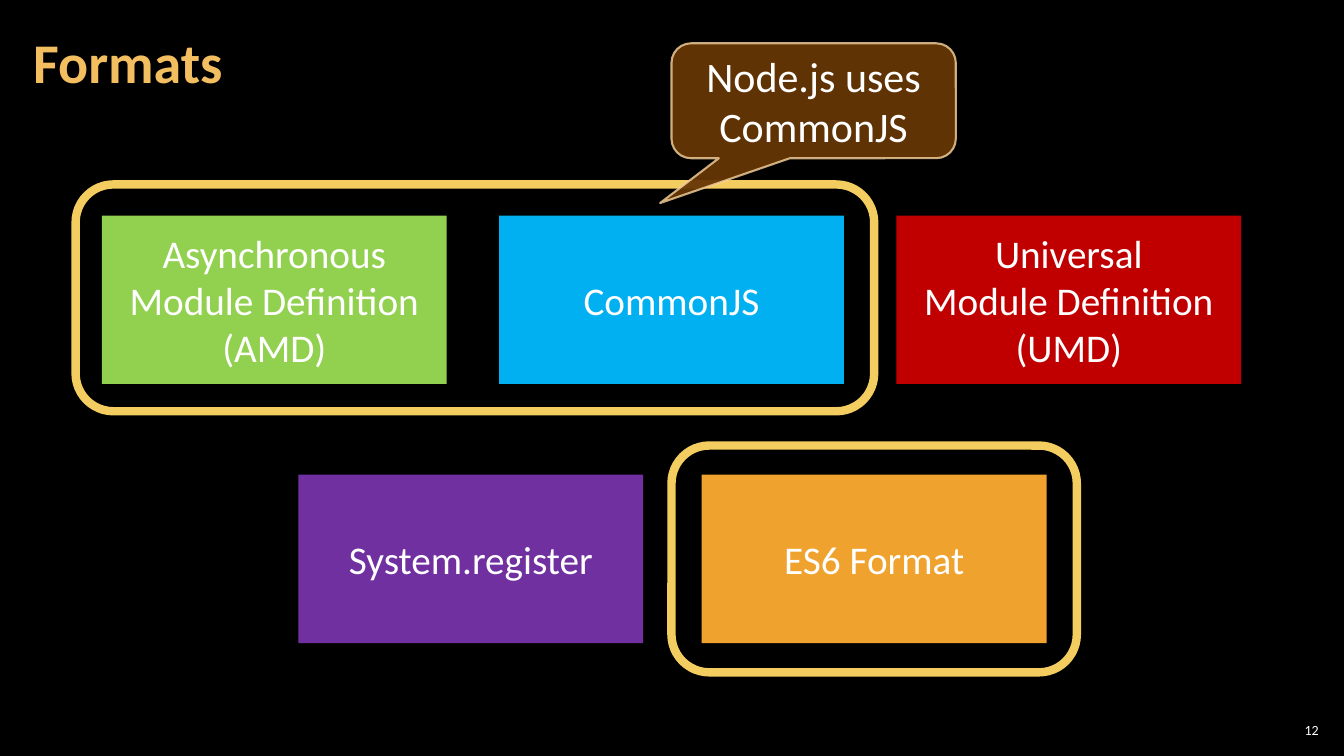
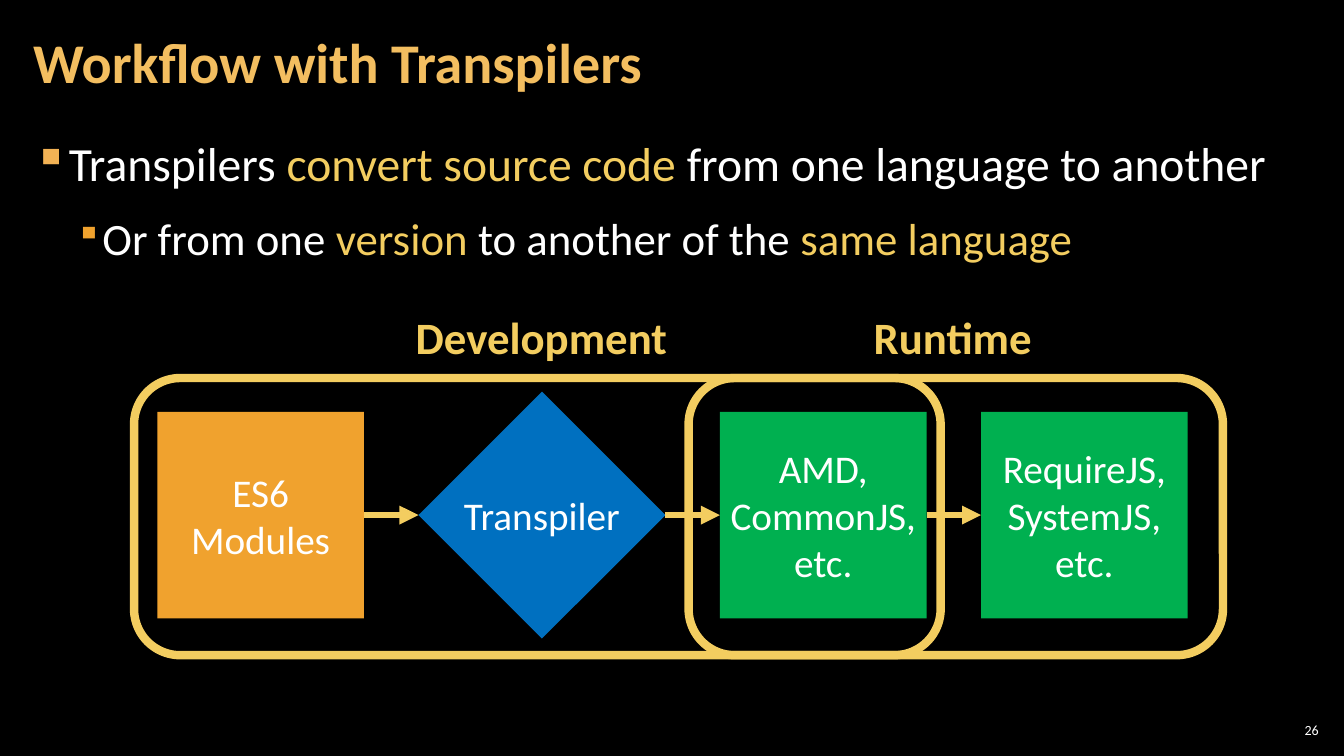
from lxml import etree
from pptx import Presentation
from pptx.dml.color import RGBColor
from pptx.enum.shapes import MSO_CONNECTOR, MSO_SHAPE as SHAPE
from pptx.enum.text import MSO_ANCHOR as ANCHOR, PP_ALIGN as ALIGN
from pptx.oxml.ns import qn
from pptx.util import Inches, Pt

BLACK, WHITE, GOLD, ORANGE, GREEN = "000000", "FFFFFF", "F3CD60", "F0A22E", "00B050"
TITLE_COLOR = "F3BE60"


def rgb(value):
    return RGBColor.from_string(value)


def add_xml(parent, tag, **attributes):
    return etree.SubElement(parent, qn(tag), attributes)


def set_opacity(fill_format, percent):
    color = fill_format._xPr.find(".//" + qn("a:srgbClr"))
    add_xml(color, "a:alpha", val=str(percent * 1000))


class Deck:
    """Holds the shared style and the slide being filled."""

    font = "Calibri"

    def __init__(self):
        self.prs = Presentation()
        self.prs.slide_width, self.prs.slide_height = Inches(13.33), Inches(7.5)
        background = self.prs.slide_master.background.fill
        background.solid()
        background.fore_color.rgb = rgb(BLACK)
        self.slide = None

    def new_slide(self, title, number):
        self.slide = self.prs.slides.add_slide(self.prs.slide_layouts[6])
        heading = self.text(title, (0.21, 0.04, 10.47, 1.21), 40, TITLE_COLOR,
                            bold=True, align=ALIGN.LEFT, margins=(0.12, 0.04))
        heading.paragraphs[0].line_spacing = 0.9
        self.text(number, (12.65, 7.14, 0.47, 0.21), 10,
                  align=ALIGN.RIGHT, margins=(0.04, 0.04))

    def format_frame(self, frame, margins, anchor=ANCHOR.MIDDLE, wrap=True):
        side, edge = map(Inches, margins)
        values = {"margin_left": side, "margin_right": side, "margin_top": edge,
                  "margin_bottom": edge, "vertical_anchor": anchor, "word_wrap": wrap}
        for name, value in values.items():
            setattr(frame, name, value)

    def format_font(self, font, size, color=WHITE, bold=False):
        for name, value in {"name": self.font, "size": Pt(size), "bold": bold}.items():
            setattr(font, name, value)
        font.color.rgb = rgb(color)

    def fill_text(self, frame, text, size, color=WHITE, bold=False, align=ALIGN.CENTER):
        """Give each line of the text a paragraph of its own."""
        frame.text = text
        for paragraph in frame.paragraphs:
            paragraph.alignment = align
            self.format_font(paragraph.font, size, color, bold)

    def text(self, text, place, size, color=WHITE, bold=False, align=ALIGN.CENTER,
             margins=(0.1, 0.05)):
        frame = self.slide.shapes.add_textbox(*map(Inches, place)).text_frame
        self.format_frame(frame, margins)
        self.fill_text(frame, text, size, color, bold, align)
        return frame

    def shape(self, kind, place, fill=None, line=None, width=0):
        shape = self.slide.shapes.add_shape(kind, *map(Inches, place))
        shape.shadow.inherit = False
        for part, color in ((shape.fill, fill), (shape.line.fill, line)):
            if color:
                part.solid()
                part.fore_color.rgb = rgb(color)
            else:
                part.background()
        if line:
            shape.line.width = Pt(width)
        return shape

    def block(self, text, place, fill, kind=SHAPE.RECTANGLE, wrap=True):
        block = self.shape(kind, place, fill)
        self.format_frame(block.text_frame, (0.08, 0.05), wrap=wrap)
        self.fill_text(block.text_frame, text, 28)
        return block

    def frame(self, *place):
        self.shape(SHAPE.ROUNDED_RECTANGLE, place, line=GOLD, width=6)

    def callout(self, text, place, adjustments):
        callout = self.shape(SHAPE.ROUNDED_RECTANGULAR_CALLOUT, place,
                             "663606", "F8D49E", 1.5)
        for index, value in enumerate(adjustments):
            callout.adjustments[index] = value
        set_opacity(callout.fill, 95)
        set_opacity(callout.line.fill, 80)
        self.format_frame(callout.text_frame, (0.1, 0.05))
        self.fill_text(callout.text_frame, text, 30)

    def arrow(self, source, target):
        """Join the right side of one block to the left side of the next."""
        arrow = self.slide.shapes.add_connector(MSO_CONNECTOR.STRAIGHT, 0, 0, 0, 0)
        arrow.begin_connect(source, 3)
        arrow.end_connect(target, 1)
        arrow.line.width = Pt(4.5)
        arrow.line.color.rgb = rgb(GOLD)
        add_xml(arrow.line._ln, "a:tailEnd", type="triangle")
        add_xml(arrow._element.spPr, "a:effectLst")

    def bullets(self, place, items):
        """Each item: level, size, indent, hanging, bullet colour, bullet percent, runs."""
        frame = self.slide.shapes.add_textbox(*map(Inches, place)).text_frame
        self.format_frame(frame, (0.12, 0.04), ANCHOR.TOP)
        for index, (level, size, indent, hanging, color, percent, runs) in enumerate(items):
            paragraph = frame.add_paragraph() if index else frame.paragraphs[0]
            properties = paragraph._p.get_or_add_pPr()
            properties.set("marL", str(Inches(indent)))
            properties.set("indent", str(-Inches(hanging)))
            add_xml(add_xml(properties, "a:buClr"), "a:srgbClr", val=color)
            add_xml(properties, "a:buSzPct", val=str(percent * 1000))
            add_xml(properties, "a:buChar", char="▪")
            spacing = {"level": level, "line_spacing": 1.05, "space_after": Pt(6),
                       "space_before": Pt(6 if index else 0)}
            for name, value in spacing.items():
                setattr(paragraph, name, value)
            for text, run_color in runs:
                run = paragraph.add_run()
                run.text = text
                self.format_font(run.font, size, run_color)


def build_formats(deck):
    deck.new_slide("Formats", "12")
    rows = [
        (1.01, 2.14, 3.94, [("Asynchronous Module Definition\n(AMD)", "92D050"),
                            ("CommonJS", "00B0F0"),
                            ("Universal\nModule Definition\n(UMD)", "C00000")]),
        (2.96, 4.71, 4, [("System.register", "7030A0"), ("ES6 Format", ORANGE)]),
    ]
    for left, top, pitch, formats in rows:
        for column, (label, color) in enumerate(formats):
            deck.block(label, (left + column * pitch, top, 3.42, 1.67), color)
    deck.frame(0.75, 1.83, 7.92, 2.25)
    deck.frame(6.66, 4.42, 4.02, 2.25)
    deck.callout("Node.js uses CommonJS", (6.66, 0.43, 2.82, 1.14), (-0.54, 0.89, 0.17))


def build_workflow(deck):
    deck.new_slide("Workflow with Transpilers", "26")
    deck.bullets((0.21, 1.26, 12.91, 6.09), [
        (0, 34, 0.33, 0.33, "F2B254", 100,
         [("Transpilers ", WHITE), ("convert source code ", GOLD),
          ("from one language to another", WHITE)]),
        (1, 32, 0.67, 0.25, ORANGE, 80,
         [("Or from one ", WHITE), ("version", GOLD),
          (" to another of the ", WHITE), ("same language", GOLD)]),
    ])

    steps = [
        ("ES6\nModules", ORANGE, SHAPE.RECTANGLE, 2.05),
        ("Transpiler", "0070C0", SHAPE.DIAMOND, 2.45),
        ("AMD, CommonJS, etc.", GREEN, SHAPE.RECTANGLE, 2.05),
        ("RequireJS, SystemJS, etc.", GREEN, SHAPE.RECTANGLE, 2.05),
    ]
    left, middle, gap = 1.56, 5.11, 0.54
    blocks = []
    for label, color, kind, size in steps:
        place = (left, middle - size / 2, size, size)
        blocks.append(deck.block(label, place, color, kind, kind != SHAPE.DIAMOND))
        left += size + gap
    for source, target in zip(blocks, blocks[1:]):
        deck.arrow(source, target)

    phases = [("Development", 3.91, 1.33, 8), ("Runtime", 7.99, 6.83, 5.3)]
    for phase, label_left, frame_left, width in phases:
        deck.text(phase, (label_left, 3.02, 2.92, 0.64), 32, GOLD, bold=True)
        deck.frame(frame_left, 3.75, width, 2.75)


def main():
    deck = Deck()
    build_formats(deck)
    build_workflow(deck)
    deck.prs.save("out.pptx")


if __name__ == "__main__":
    main()
